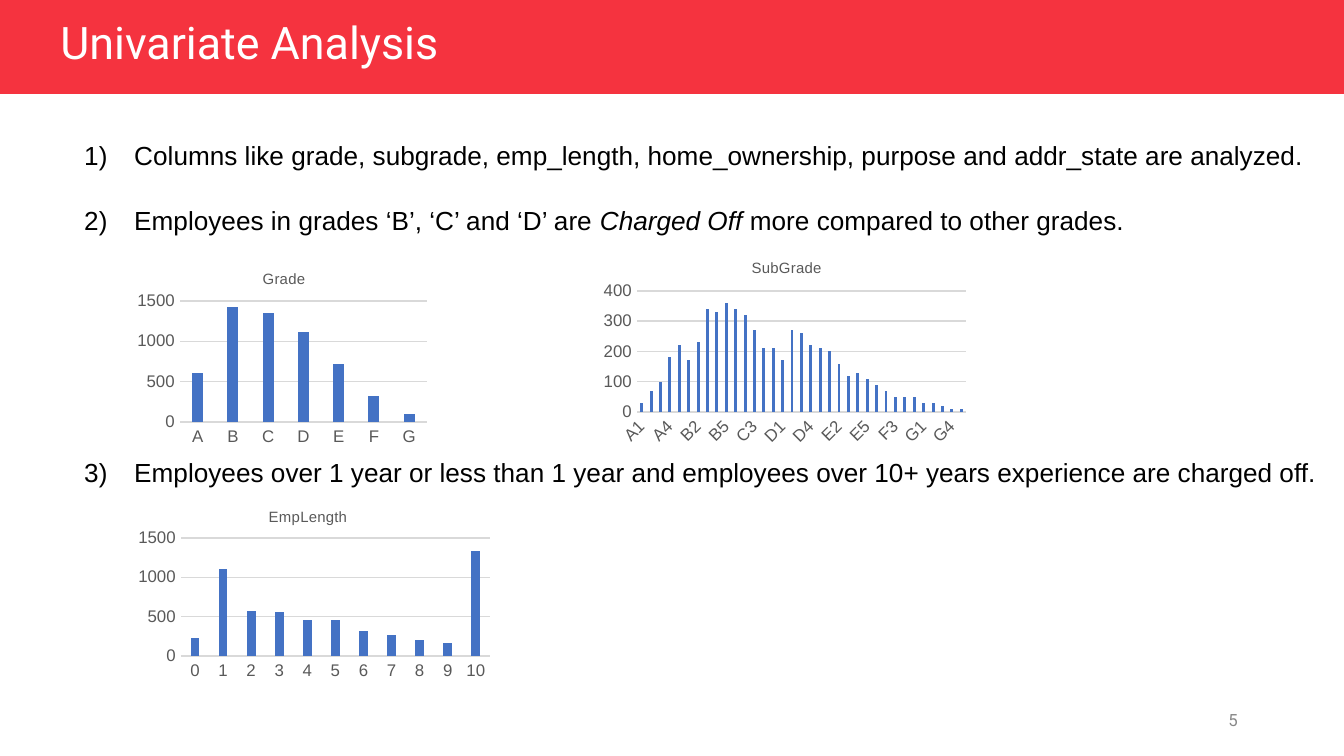
from lxml.etree import SubElement
from pptx import Presentation
from pptx.chart.data import CategoryChartData
from pptx.dml.color import RGBColor
from pptx.enum.chart import XL_CHART_TYPE, XL_TICK_MARK
from pptx.enum.shapes import MSO_SHAPE
from pptx.enum.text import MSO_ANCHOR, PP_ALIGN
from pptx.oxml import parse_xml
from pptx.oxml.ns import nsdecls, qn
from pptx.util import Pt

EMU_PER_PX = 914400 / 134.4
COLORS = {
    "banner": "F5333F",
    "white": "FFFFFF",
    "text": "000000",
    "page": "888888",
    "label": "595959",
    "grid": "D9D9D9",
    "bar": "4472C4",
}
FINDINGS = [
    (0, [("Columns like grade, subgrade, emp_length, home_ownership, purpose and addr_state are analyzed.", False)]),
    (17.7, [
        ("Employees in grades ‘B’, ‘C’ and ‘D’ are ", False),
        ("Charged Off", True),
        (" more compared to other grades.", False),
    ]),
    (118.4, [("Employees over 1 year or less than 1 year and employees over 10+ years experience are charged off.", False)]),
]
GRADES = "ABCDEFG"
SUBGRADES = [f"{grade}{level}" for grade in GRADES for level in range(1, 6)]
GRADE_COUNTS = [600, 1420, 1350, 1120, 720, 320, 100]
SUBGRADE_COUNTS = [
    30, 70, 100, 180, 220, 170, 230, 340, 330, 360, 340, 320, 270, 210, 210, 170, 270, 260,
    220, 210, 200, 160, 120, 130, 110, 90, 70, 50, 50, 50, 30, 30, 20, 10, 10,
]
EMP_LENGTHS = [str(years) for years in range(11)]
EMP_LENGTH_COUNTS = [230, 1100, 570, 560, 460, 460, 310, 260, 200, 160, 1330]


def px(length):
    """Turn a length in px into EMU."""
    return round(length * EMU_PER_PX)


def color(name):
    """Look up a colour by its role."""
    return RGBColor.from_string(COLORS[name])


def style_font(font, size, color_name, name="Arial"):
    """Set the face, size and colour of a font."""
    font.name, font.size, font.bold = name, Pt(size), False
    font.color.rgb = color(color_name)


def add_header(slide, box):
    """Draw the banner and put the title placeholder on it."""
    left, top, width, height = box
    banner = slide.shapes.add_shape(MSO_SHAPE.RECTANGLE, *map(px, box))
    banner.shadow.inherit = False
    banner.fill.solid()
    banner.fill.fore_color.rgb = color("banner")
    banner.line.fill.background()
    slide.shapes._spTree.insert(2, banner._element)

    title = slide.shapes.title
    title.left, title.top = px(left + 47), px(top + 17)
    title.width, title.height = px(550), px(56)
    title.text_frame.text = "Univariate Analysis"
    title.text_frame.vertical_anchor = MSO_ANCHOR.MIDDLE
    heading = title.text_frame.paragraphs[0]
    heading.alignment = PP_ALIGN.LEFT
    heading.line_spacing = 0.9
    style_font(heading.font, 24, "white", "Roboto")


def add_findings(slide, box):
    """Write the numbered findings, leaving room between them for the charts."""
    frame = slide.shapes.add_textbox(*map(px, box)).text_frame
    frame.word_wrap = False
    for index, (space, pieces) in enumerate(FINDINGS):
        finding = frame.add_paragraph() if index else frame.paragraphs[0]
        finding.space_before = Pt(space)
        style_font(finding.font, 14, "text")
        for words, italic in pieces:
            run = finding.add_run()
            run.text = words
            run.font.italic = italic
        properties = finding._p.get_or_add_pPr()
        properties.set("marL", str(px(50)))
        properties.set("indent", str(px(-50)))
        numbering = SubElement(properties, qn("a:buAutoNum"), type="arabicParenR")
        properties.insert_element_before(numbering, "a:defRPr")


def manual_layout(left, top, box, size=None):
    """Make a chart layout from px offsets within the chart box."""
    values = {"x": left / box[2], "y": top / box[3]}
    if size:
        values |= {"w": size[0] / box[2], "h": size[1] / box[3]}
    target = '<c:layoutTarget val="inner"/>' if size else ""
    modes = "".join(f'<c:{key}Mode val="edge"/>' for key in ("x", "y"))
    places = "".join(f'<c:{key} val="{value:.4f}"/>' for key, value in values.items())
    return parse_xml(
        f'<c:layout {nsdecls("c")}><c:manualLayout>{target}{modes}{places}</c:manualLayout></c:layout>'
    )


def replace_layout(parent, layout, position):
    """Put a layout in a chart part in place of the automatic one."""
    for automatic in parent.findall(qn("c:layout")):
        parent.remove(automatic)
    parent.insert(position, layout)


def add_column_chart(slide, box, name, categories, counts, title_at, plot, scale, label_step=1):
    """Draw one column chart with its title and plot placed within the box."""
    data = CategoryChartData()
    data.categories = categories
    data.add_series("Series 1", counts)
    chart = slide.shapes.add_chart(XL_CHART_TYPE.COLUMN_CLUSTERED, *map(px, box), data).chart
    chart.has_legend = False
    style_font(chart.font, 10, "text")

    chart.has_title = True
    heading = chart.chart_title.text_frame
    heading.text = name
    style_font(heading.paragraphs[0].font, 8, "label")
    chart.chart_title.include_in_layout = False
    replace_layout(chart.chart_title._element, manual_layout(*title_at, box), 1)
    replace_layout(chart._chartSpace.chart.plotArea, manual_layout(*plot[:2], box, plot[2:]), 0)

    columns = chart.plots[0]
    columns.gap_width, columns.overlap = 219, -27
    columns.vary_by_categories = False
    fill = columns.series[0].format.fill
    fill.solid()
    fill.fore_color.rgb = color("bar")

    counts_axis, names_axis = chart.value_axis, chart.category_axis
    counts_axis.minimum_scale = 0
    counts_axis.maximum_scale, counts_axis.major_unit = scale
    for axis in (counts_axis, names_axis):
        axis.major_tick_mark = axis.minor_tick_mark = XL_TICK_MARK.NONE
        style_font(axis.tick_labels.font, 9, "label")
    counts_axis.format.line.fill.background()
    for line in (names_axis.format.line, counts_axis.major_gridlines.format.line):
        line.color.rgb = color("grid")
        line.width = Pt(0.75)
    if label_step > 1:
        names_axis._element.find(f'{qn("c:txPr")}/{qn("a:bodyPr")}').set("rot", "-2700000")
        skip = parse_xml(f'<c:tickLblSkip {nsdecls("c")} val="{label_step}"/>')
        names_axis._element.find(qn("c:noMultiLvlLbl")).addprevious(skip)


def add_page_number(slide, box):
    """Write the page number at the right of the box."""
    frame = slide.shapes.add_textbox(*map(px, box)).text_frame
    frame.word_wrap = True
    frame.vertical_anchor = MSO_ANCHOR.MIDDLE
    number = frame.paragraphs[0]
    number.text = "5"
    number.alignment = PP_ALIGN.RIGHT
    style_font(number.font, 9, "page", "Roboto")


def main():
    """Build the slide and save it."""
    deck = Presentation()
    deck.slide_width, deck.slide_height = px(1344), px(756)
    slide = deck.slides.add_slide(deck.slide_layouts[5])
    add_header(slide, (0, 0, 1344, 94))
    add_page_number(slide, (949, 700, 302, 40))
    add_findings(slide, (71, 133, 1263, 552))
    add_column_chart(slide, (130, 251, 302, 200), "Grade", GRADES, GRADE_COUNTS,
                     (130, 15), (50, 50, 247, 121), (1500, 500))
    add_column_chart(slide, (595, 241, 379, 211), "SubGrade", SUBGRADES, SUBGRADE_COUNTS,
                     (154, 14), (42, 50, 329, 121), (400, 100), label_step=3)
    add_column_chart(slide, (130, 487, 366, 198), "EmpLength", EMP_LENGTHS, EMP_LENGTH_COUNTS,
                     (136, 17), (51, 51, 309, 118), (1500, 500))
    deck.save("out.pptx")


if __name__ == "__main__":
    main()
